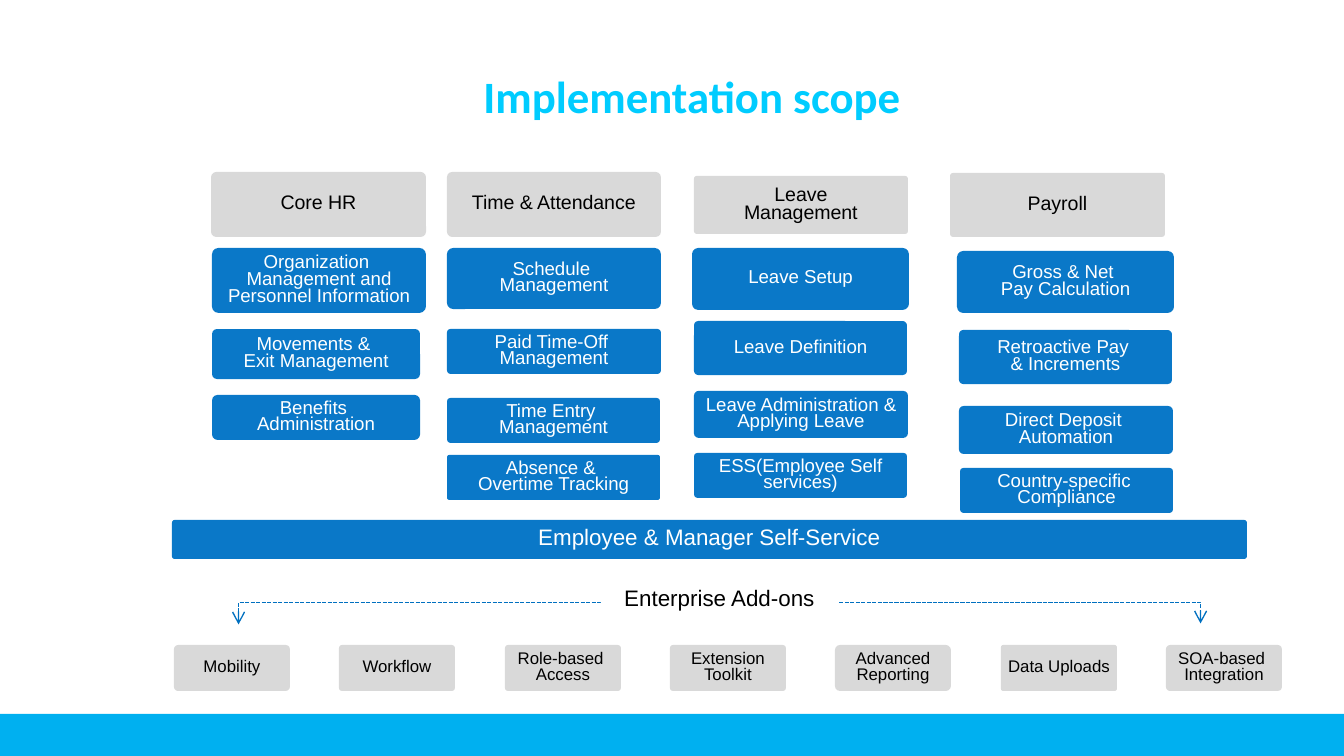
from dataclasses import dataclass

from lxml.etree import SubElement
from pptx import Presentation
from pptx.dml.color import RGBColor
from pptx.enum.dml import MSO_LINE
from pptx.enum.shapes import MSO_CONNECTOR, MSO_SHAPE
from pptx.enum.text import MSO_ANCHOR, MSO_AUTO_SIZE, PP_ALIGN
from pptx.oxml.ns import qn
from pptx.slide import Slide
from pptx.util import Emu, Pt

WIDTH, HEIGHT = 1344, 756
EMU_PER_PX = 914400 / 134.4

BLUE, GREY, WHITE, BLACK = "0A78C8", "D9D9D9", "FFFFFF", "000000"
CYAN, FOOTER_BLUE, ARROW_BLUE = "00CCFF", "00B0F0", "0070C0"


@dataclass(frozen=True)
class Style:
    fill: str
    color: str
    size: float


@dataclass(frozen=True)
class Box:
    text: str
    left: int
    top: int
    width: int
    height: int
    corner: float


HEADER = Style(GREY, BLACK, 10.5)
MODULE = Style(BLUE, WHITE, 10)
ADD_ON = Style(GREY, BLACK, 9)
BANNER = Style(BLUE, WHITE, 12)
LABEL = Style(WHITE, BLACK, 12)

HEADERS = [
    Box("Core HR", 211, 172, 215, 65, 0.08),
    Box("Time & Attendance", 447, 172, 214, 65, 0.08),
    Box("Leave\nManagement", 694, 176, 214, 58, 0.05),
    Box("Payroll", 950, 173, 215, 64, 0.05),
]

MODULES = [
    # Core HR
    Box("Organization \nManagement and Personnel Information", 212, 248, 214, 65, 0.1),
    Box("Movements & \nExit Management", 212, 329, 208, 50, 0.1),
    Box("Benefits \nAdministration", 212, 395, 208, 45, 0.12),
    # Time and attendance
    Box("Schedule \nManagement", 447, 248, 214, 61, 0.1),
    Box("Paid Time-Off \nManagement", 447, 329, 214, 45, 0.08),
    Box("Time Entry \nManagement", 447, 398, 213, 45, 0.08),
    Box("Absence & \nOvertime Tracking", 447, 455, 213, 45, 0.05),
    # Leave management
    Box("Leave Setup", 692, 248, 217, 62, 0.1),
    Box("Leave Definition", 694, 321, 213, 54, 0.08),
    Box("Leave Administration & Applying Leave", 694, 391, 214, 47, 0.1),
    Box("ESS(Employee Self services)", 694, 453, 213, 45, 0.08),
    # Payroll
    Box("Gross & Net \nPay Calculation", 957, 251, 217, 62, 0.1),
    Box("Retroactive Pay \n& Increments", 959, 330, 213, 54, 0.08),
    Box("Direct Deposit \nAutomation", 959, 406, 214, 48, 0.1),
    Box("Country-specific \nCompliance", 960, 468, 213, 45, 0.08),
]

ADD_ONS = [
    ("Mobility", 0.09),
    ("Workflow", 0.07),
    ("Role-based \nAccess", 0.07),
    ("Extension\nToolkit", 0.07),
    ("Advanced\nReporting", 0.11),
    ("Data Uploads", 0.05),
    ("SOA-based \nIntegration", 0.09),
]
ADD_ON_FIRST, ADD_ON_LAST = 174, 1166


def px(value: int) -> Emu:
    return Emu(round(value * EMU_PER_PX))


def rgb(color: str) -> RGBColor:
    return RGBColor.from_string(color)


def add_title(slide: Slide, text: str) -> None:
    title = slide.shapes.title
    title.left, title.top, title.width, title.height = px(470), px(62), px(612), px(77)
    frame = title.text_frame
    frame.auto_size = MSO_AUTO_SIZE.NONE
    frame.vertical_anchor = MSO_ANCHOR.TOP
    paragraph = frame.paragraphs[0]
    paragraph.alignment = PP_ALIGN.LEFT
    run = paragraph.add_run()
    run.text = text
    run.font.name, run.font.size, run.font.bold = "Calibri", Pt(24), True
    run.font.color.rgb = rgb(CYAN)


def add_footer_bar(slide: Slide) -> None:
    top = 714
    shape = slide.shapes.add_shape(
        MSO_SHAPE.RECTANGLE, 0, px(top), px(WIDTH), px(HEIGHT - top))
    shape.shadow.inherit = False
    shape.fill.solid()
    shape.fill.fore_color.rgb = rgb(FOOTER_BLUE)
    shape.line.fill.background()


def add_box(slide: Slide, box: Box, style: Style) -> None:
    shape = slide.shapes.add_shape(
        MSO_SHAPE.ROUNDED_RECTANGLE,
        px(box.left), px(box.top), px(box.width), px(box.height))
    shape.adjustments[0] = box.corner
    shape.shadow.inherit = False
    shape.fill.solid()
    shape.fill.fore_color.rgb = rgb(style.fill)
    shape.line.fill.background()

    frame = shape.text_frame
    frame.word_wrap = True
    frame.vertical_anchor = MSO_ANCHOR.MIDDLE
    frame.margin_left = frame.margin_right = frame.margin_top = frame.margin_bottom = 0
    for index, line in enumerate(box.text.split("\n")):
        paragraph = frame.add_paragraph() if index else frame.paragraphs[0]
        paragraph.alignment = PP_ALIGN.CENTER
        paragraph.line_spacing = 0.75
        run = paragraph.add_run()
        run.text = line
        run.font.name, run.font.size = "Arial", Pt(style.size)
        run.font.color.rgb = rgb(style.color)


def add_bracket(slide: Slide, left: int, right: int, bottom: int, rise: int) -> None:
    """Draw a dashed bracket with both ends pointing down: an elbow turned by 90 degrees."""
    middle, half = (left + right) // 2, (right - left) // 2
    connector = slide.shapes.add_connector(
        MSO_CONNECTOR.ELBOW,
        px(middle + 1), px(bottom + half), px(middle), px(bottom - half))
    connector.line.color.rgb = rgb(ARROW_BLUE)
    connector.line.width = Pt(0.75)
    connector.line.dash_style = MSO_LINE.SQUARE_DOT

    properties = connector._element.spPr
    properties.find(qn("a:xfrm")).set("rot", "5400000")
    # The elbow is 1 px wide, so its bend lies "rise" widths away
    guides = properties.find(qn("a:prstGeom")).get_or_add_avLst()
    SubElement(guides, qn("a:gd"), name="adj1", fmla=f"val {rise * 100000}")
    line = properties.find(qn("a:ln"))
    for end in ("a:headEnd", "a:tailEnd"):
        SubElement(line, qn(end), type="arrow")
    SubElement(properties, qn("a:effectLst"))


def main() -> None:
    presentation = Presentation()
    presentation.slide_width, presentation.slide_height = px(WIDTH), px(HEIGHT)
    slide = presentation.slides.add_slide(presentation.slide_layouts[5])

    add_footer_bar(slide)
    add_title(slide, "Implementation scope")

    # Four columns of modules
    for box in HEADERS:
        add_box(slide, box, HEADER)
    for box in MODULES:
        add_box(slide, box, MODULE)
    add_box(slide, Box("Employee & Manager Self-Service", 172, 520, 1075, 39, 0.07), BANNER)

    # Add-ons at equal steps under their bracket
    step = (ADD_ON_LAST - ADD_ON_FIRST) / (len(ADD_ONS) - 1)
    for index, (text, corner) in enumerate(ADD_ONS):
        left = round(ADD_ON_FIRST + index * step)
        add_box(slide, Box(text, left, 645, 116, 46, corner), ADD_ON)
    add_bracket(slide, left=238, right=1200, bottom=624, rise=22)
    add_box(slide, Box("Enterprise Add-ons", 601, 583, 237, 34, 0.07), LABEL)

    presentation.save("out.pptx")


if __name__ == "__main__":
    main()
